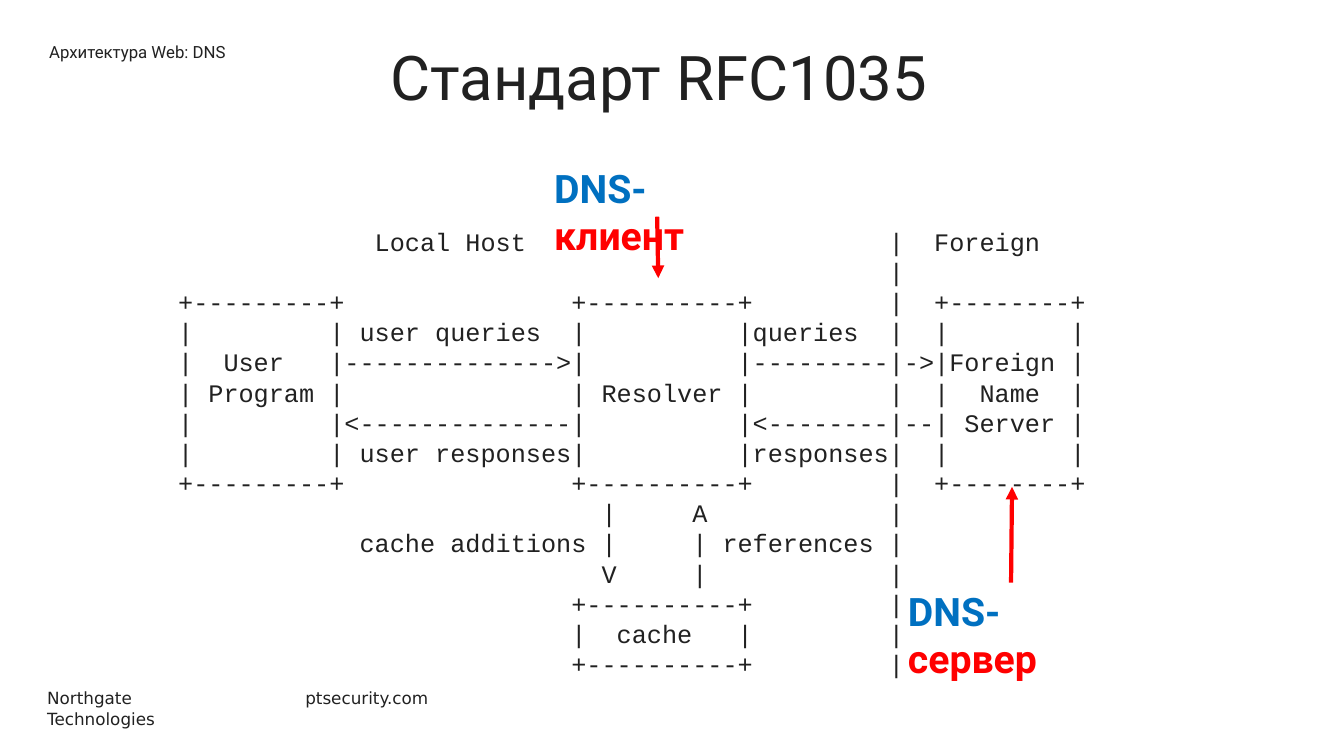
from dataclasses import dataclass, field
from typing import Any

from lxml import etree
from pptx import Presentation
from pptx import util as u
from pptx.dml.color import RGBColor
from pptx.enum import shapes, text
from pptx.oxml.ns import qn

INK = RGBColor(0x21, 0x21, 0x21)
BLUE = RGBColor(0x00, 0x70, 0xC0)
RED = RGBColor(0xFF, 0x00, 0x00)

HOST_EDGE = "    +---------+               +----------+         |  +--------+"
CACHE_EDGE = "                              +----------+         |"
DIAGRAM = [
    "                 Local Host                        |  Foreign",
    "                                                   |",
    HOST_EDGE,
    "    |         | user queries  |          |queries  |  |        |",
    "    |  User   |-------------->|          |---------|->|Foreign |",
    "    | Program |               | Resolver |         |  |  Name  |",
    "    |         |<--------------|          |<--------|--| Server |",
    "    |         | user responses|          |responses|  |        |",
    HOST_EDGE,
    "                                |     A            |",
    "                cache additions |     | references |",
    "                                V     |            |",
    CACHE_EDGE,
    "                              |  cache   |         |",
    CACHE_EDGE,
]


@dataclass
class Span:
    words: str
    color: RGBColor = INK


@dataclass
class TextBlock:
    place: tuple[float, float, float, float]  # left, top, width, height
    lines: list[list[Span]]
    font: dict[str, Any]
    para: dict[str, Any] = field(default_factory=dict)
    wrap: bool = True
    grow: bool = True


@dataclass
class Arrow:
    start: tuple[float, float]
    end: tuple[float, float]


def apply(target: Any, values: dict[str, Any]) -> None:
    for name, value in values.items():
        setattr(target, name, value)


def draw_text(page: Any, block: TextBlock) -> None:
    box = page.shapes.add_textbox(*map(u.Pt, block.place))
    frame = box.text_frame
    frame.word_wrap = block.wrap
    sizing = text.MSO_AUTO_SIZE
    frame.auto_size = sizing.SHAPE_TO_FIT_TEXT if block.grow else sizing.NONE
    for number, line in enumerate(block.lines):
        para = frame.add_paragraph() if number else frame.paragraphs[0]
        apply(para, block.para)
        for piece in line:
            span = para.add_run()
            span.text = piece.words
            apply(span.font, block.font)
            span.font.color.rgb = piece.color


def draw_arrow(page: Any, arrow: Arrow) -> None:
    line = page.shapes.add_connector(
        shapes.MSO_CONNECTOR.STRAIGHT, *map(u.Pt, arrow.start + arrow.end))
    line.line.color.rgb = RED
    line.line.width = u.Pt(3)
    properties = line._element.spPr
    etree.SubElement(properties.find(qn("a:ln")), qn("a:tailEnd"), type="triangle")
    etree.SubElement(properties, qn("a:effectLst"))


SMALL = {"name": "Roboto", "size": u.Pt(12)}
FOOTER = {"name": "DejaVu Sans", "size": u.Pt(12)}
TITLE = {"name": "Roboto", "size": u.Pt(44)}
LABEL = {"name": "Roboto", "size": u.Pt(28), "bold": True}
CODE = {"name": "Courier New", "size": u.Pt(18)}

BLOCKS = [
    # Footer
    TextBlock((26.6, 488, 142.6, 21.6), [[Span("Northgate Technologies")]],
              FOOTER, wrap=False),
    TextBlock((211, 488, 103.7, 21.6), [[Span("ptsecurity.com")]],
              FOOTER, wrap=False),
    # Diagram from the standard
    TextBlock((77, 158, 712, 330.5), [[Span(row)] for row in DIAGRAM],
              CODE, {"line_spacing": u.Pt(21.55)}),
    # Title and section name
    TextBlock((186.5, 24.5, 568.8, 60.5), [[Span("Стандарт RFC1035")]],
              TITLE, {"alignment": text.PP_ALIGN.CENTER}),
    TextBlock((28, 26.6, 213, 28.8), [[Span("Архитектура Web: DNS")]],
              SMALL, {"space_after": u.Pt(12)}, grow=False),
    # Role labels
    TextBlock((388.8, 113.8, 161.3, 41),
              [[Span("DNS-", BLUE), Span("клиент", RED)]], LABEL),
    TextBlock((641.5, 416.2, 161.3, 41),
              [[Span("DNS-", BLUE), Span("сервер", RED)]], LABEL),
]

ARROWS = [
    Arrow((469.4, 154.8), (470.2, 198.7)),
    Arrow((722.2, 416.2), (722.9, 347.8)),
]


def main() -> None:
    deck = Presentation()
    deck.slide_width, deck.slide_height = u.Pt(960), u.Pt(540)
    page = deck.slides.add_slide(deck.slide_layouts[6])
    for block in BLOCKS:
        draw_text(page, block)
    for arrow in ARROWS:
        draw_arrow(page, arrow)
    deck.save("out.pptx")


if __name__ == "__main__":
    main()
